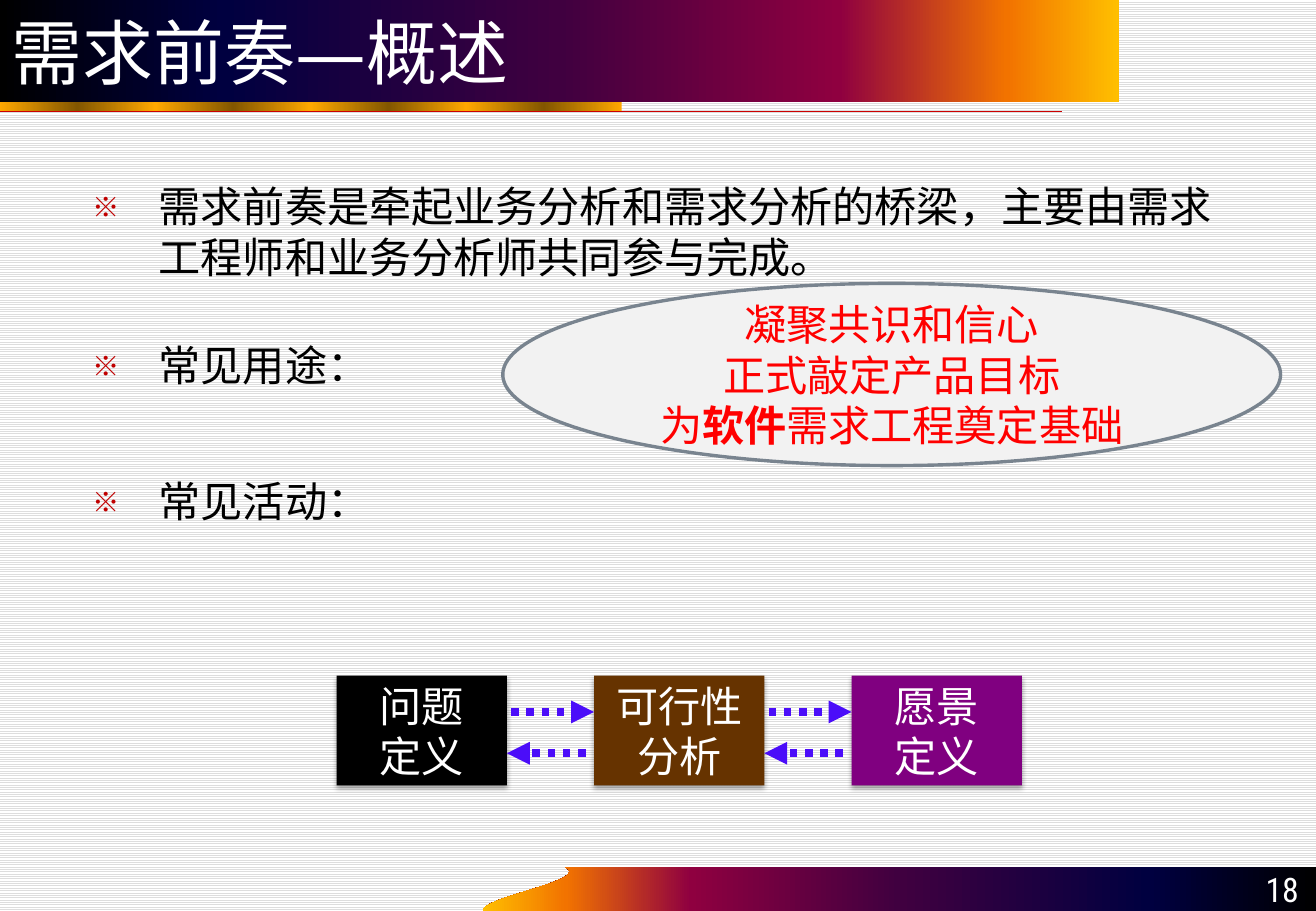
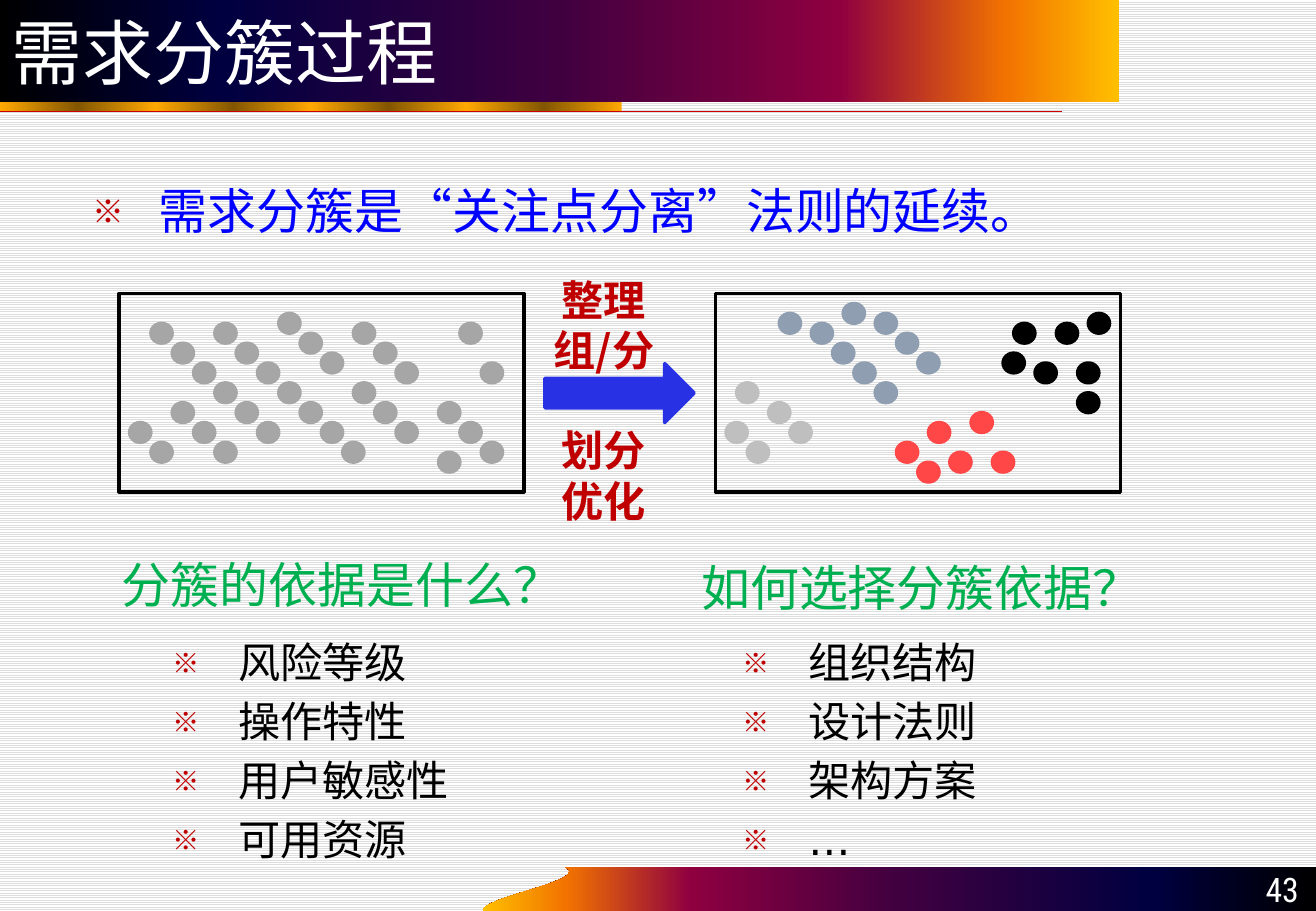
from dataclasses import dataclass
from itertools import pairwise
from typing import Any, NamedTuple

from lxml import etree
from pptx import Presentation
from pptx import util as u
from pptx.dml.color import RGBColor
from pptx.enum import dml, shapes, text
from pptx.oxml import ns

SANS, CJK, CONDENSED = "DejaVu Sans", "Noto Sans CJK SC", "Roboto Condensed"
WHITE, BLACK, CRIMSON, GREEN = "FFFFFF", "000000", "C00000", "00B050"
SUNSET = [(0, "000000"), (20, "000040"), (50, "400040"),
          (75, "8F0040"), (90, "F27300"), (100, "FFBF00")]
GOLD = [(12.5 * i, "825600" if i % 2 else "FFA800") for i in range(9)]
LEFT, CENTER, RIGHT = text.PP_ALIGN.LEFT, text.PP_ALIGN.CENTER, text.PP_ALIGN.RIGHT
TOP, MIDDLE, BOTTOM = (text.MSO_ANCHOR.TOP, text.MSO_ANCHOR.MIDDLE,
                       text.MSO_ANCHOR.BOTTOM)
RECT, OVAL = shapes.MSO_SHAPE.RECTANGLE, shapes.MSO_SHAPE.OVAL
INDENT, LINE_RATIO = 39, 1.2


class Area(NamedTuple):
    left: float
    top: float
    width: float
    height: float


class Span(NamedTuple):
    words: str
    bold: bool = False


class Line(NamedTuple):
    spans: list[Span]
    before: float = 0


class Run(NamedTuple):
    column: int
    row: int
    count: int = 1


class Cluster(NamedTuple):
    color: str
    runs: list[Run]


@dataclass(frozen=True)
class Style:
    size: float
    font: str
    color: str
    align: Any = LEFT
    anchor: Any = TOP
    bullet: bool = False


class Activity(NamedTuple):
    lines: list[str]
    color: str


class Question(NamedTuple):
    heading: str
    heading_area: Area
    answers: list[str]
    answers_area: Area


PLATE = Area(0, 0, 663, 60.5)
BODY = Area(48, 103.5, 683, 221)
ACTIVITIES = [Activity(["问题", "定义"], BLACK),
              Activity(["可行性", "分析"], "663300"),
              Activity(["愿景", "定义"], "800080")]
MIXED = [Cluster("A6A6A6", [
    Run(3, 3, 6), Run(9, 3, 7), Run(22, 9, 3), Run(22, 3, 3), Run(34, 7),
    Run(30, 11, 3), Run(30, 16), Run(1, 13, 2), Run(32, 3), Run(5, 11, 3),
    Run(15, 2, 3)])]
SORTED = [
    Cluster("BFBFBF", [Run(2, 9), Run(1, 13, 2), Run(5, 11, 2)]),
    Cluster("8F9FB1", [Run(6, 2), Run(12, 1), Run(9, 3, 4), Run(15, 2, 3)]),
    Cluster("FF4747", [Run(17, 15, 2), Run(22, 16), Run(20, 13),
                       Run(24, 12), Run(26, 16)]),
    Cluster(BLACK, [Run(28, 3), Run(27, 6), Run(30, 7), Run(35, 2),
                    Run(34, 7), Run(34, 10), Run(32, 3)]),
]
QUESTIONS = [
    Question("分簇的依据是什么？", Area(65, 325.5, 279, 42.5),
             ["风险等级", "操作特性", "用户敏感性", "可用资源"],
             Area(95, 373.5, 215, 146)),
    Question("如何选择分簇依据？", Area(408.5, 327, 279, 42.5),
             ["组织结构", "设计法则", "架构方案", "…"],
             Area(433, 373.5, 215, 146)),
]


def rgb(value: str) -> RGBColor:
    return RGBColor.from_string(value)


def apply(target: Any, values: dict[str, Any]) -> None:
    for name, value in values.items():
        setattr(target, name, value)


def child(parent: Any, tag: str, **attributes: Any) -> Any:
    return etree.SubElement(parent, ns.qn(tag),
                            {key: str(value) for key, value in attributes.items()})


def points(area: Area) -> list[u.Pt]:
    return [u.Pt(value) for value in area]


def lines(*words: str, before: float = 0) -> list[Line]:
    return [Line([Span(item)], before if index else 0)
            for index, item in enumerate(words)]


def write(shape: Any, content: list[Line], style: Style) -> None:
    frame = shape.text_frame
    apply(frame, {
        "word_wrap": True, "vertical_anchor": style.anchor,
        "margin_left": u.Pt(7.2), "margin_right": u.Pt(7.2),
        "margin_top": u.Pt(3.6), "margin_bottom": u.Pt(3.6),
    })
    for index, line in enumerate(content):
        para = frame.add_paragraph() if index else frame.paragraphs[0]
        apply(para, {"alignment": style.align, "space_before": u.Pt(line.before),
                     "line_spacing": u.Pt(style.size * LINE_RATIO)})
        if style.bullet:
            add_bullet(para)
        for part in line.spans:
            span = para.add_run()
            span.text = part.words
            apply(span.font, {"name": style.font, "size": u.Pt(style.size),
                              "bold": part.bold})
            span.font.color.rgb = rgb(style.color)
            child(span.font._element, "a:ea", typeface=style.font)


def add_bullet(para: Any) -> None:
    props = para._p.get_or_add_pPr()
    props.set("marL", str(u.Pt(INDENT)))
    props.set("indent", str(-u.Pt(INDENT)))
    child(child(props, "a:buClr"), "a:srgbClr", val=CRIMSON)
    child(props, "a:buSzPct", val=65000)
    child(props, "a:buFont", typeface=CJK)
    child(props, "a:buChar", char="※")


def add_text(page: Any, area: Area, content: list[Line], style: Style) -> None:
    write(page.shapes.add_textbox(*points(area)), content, style)


def paint(shape: Any, fill: str | None, line: str | None = None) -> None:
    shape.shadow.inherit = False
    if fill:
        shape.fill.solid()
        shape.fill.fore_color.rgb = rgb(fill)
    else:
        shape.fill.background()
    if line:
        shape.line.color.rgb = rgb(line)
        shape.line.width = u.Pt(2)
    else:
        shape.line.fill.background()


def add_shape(page: Any, kind: Any, area: Area, fill: str | None,
              line: str | None = None) -> Any:
    shape = page.shapes.add_shape(kind, *points(area))
    paint(shape, fill, line)
    return shape


def blend(shape: Any, stops: list[tuple[float, str]], angle: int = 0) -> None:
    shape.fill.gradient()
    shape.fill.gradient_angle = angle
    stop_list = shape._element.spPr.find(".//" + ns.qn("a:gsLst"))
    for stop in list(stop_list):
        stop_list.remove(stop)
    for position, color in stops:
        stop = child(stop_list, "a:gs", pos=int(position * 1000))
        child(stop, "a:srgbClr", val=color)


def cast_shadow(shape: Any) -> None:
    effects = shape._element.spPr.find(ns.qn("a:effectLst"))
    shadow = child(effects, "a:outerShdw", blurRad=u.Pt(3.1), dist=u.Pt(1.8),
                   dir=5400000, rotWithShape=0)
    child(child(shadow, "a:srgbClr", val=BLACK), "a:alpha", val=35000)


def add_line(page: Any, start: tuple[float, float], end: tuple[float, float],
             color: str, width: float) -> Any:
    line = page.shapes.add_connector(shapes.MSO_CONNECTOR.STRAIGHT,
                                     *(u.Pt(value) for value in start + end))
    line.line.color.rgb = rgb(color)
    line.line.width = u.Pt(width)
    child(line._element.spPr, "a:effectLst")
    return line


def add_arrow(page: Any, start: float, end: float, y: float) -> None:
    arrow = add_line(page, (start, y), (end, y), "4B0DF9", 4.5)
    arrow.line.dash_style = dml.MSO_LINE.ROUND_DOT
    child(arrow.line._get_or_add_ln(), "a:tailEnd", type="triangle")


def add_footer_wave(page: Any) -> None:
    curve = [(286, 540), (286, 531.5), (350.5, 522), (335, 514)]
    outline = [(780, 514), (780, 540)]
    for step in range(21):
        t = step / 20
        weights = ((1 - t) ** 3, 3 * t * (1 - t) ** 2, 3 * t * t * (1 - t), t ** 3)
        outline.append(tuple(sum(weight * point[axis]
                                 for weight, point in zip(weights, curve))
                             for axis in (0, 1)))
    corners = [(u.Pt(x), u.Pt(y)) for x, y in outline]
    builder = page.shapes.build_freeform(*corners[0], scale=1.0)
    builder.add_line_segments(corners[1:], close=True)
    wave = builder.convert_to_shape()
    paint(wave, BLACK)
    blend(wave, SUNSET, 180)


def add_page(deck: Any, title: str, number: str) -> Any:
    page = deck.slides.add_slide(deck.slide_layouts[6])
    backdrop = page.background.fill
    backdrop.patterned()
    backdrop.pattern = dml.MSO_PATTERN.LIGHT_HORIZONTAL
    backdrop.fore_color.rgb = rgb("DDDDDD")
    backdrop.back_color.rgb = rgb(WHITE)
    add_footer_wave(page)
    blend(add_shape(page, RECT, Area(0, 55, 368.5, 11), BLACK), GOLD)
    add_line(page, (0, 66), (629.5, 66), "CC0000", 0.75)
    plate = add_shape(page, RECT, PLATE, BLACK)
    blend(plate, SUNSET)
    write(plate, lines(title), Style(42, SANS, WHITE, anchor=MIDDLE))
    add_text(page, Area(708, 513.5, 69, 29), lines(number),
             Style(20, CONDENSED, WHITE, RIGHT, BOTTOM))
    return page


def add_overview(deck: Any) -> None:
    page = add_page(deck, "需求前奏—概述", "18")
    add_text(page, BODY, [
        Line([Span("需求前奏是牵起业务分析和需求分析的桥梁，"
                   "主要由需求工程师和业务分析师共同参与完成。")]),
        Line([Span("常见用途：")], 34),
        Line([Span("常见活动：")], 51),
    ], Style(25, CJK, BLACK, bullet=True))
    areas = [Area(199.5 + 152.6 * index, 400.5, 101, 65)
             for index in range(len(ACTIVITIES))]
    for activity, area in zip(ACTIVITIES, areas):
        box = add_shape(page, RECT, area, activity.color)
        cast_shadow(box)
        write(box, lines(*activity.lines), Style(25, CJK, WHITE, CENTER, MIDDLE))
    for near, far in pairwise(areas):
        edge = near.left + near.width
        add_arrow(page, edge + 2.5, far.left, 422)
        add_arrow(page, far.left - 5, edge, 446.5)
    purpose = add_shape(page, OVAL, Area(298, 168, 461, 108), "F2F2F2", "79848F")
    write(purpose, lines("凝聚共识和信心", "正式敲定产品目标") + [
        Line([Span("为"), Span("软件", True), Span("需求工程奠定基础")]),
    ], Style(25, SANS, "FF0000", CENTER, MIDDLE))


def add_dots(page: Any, frame: Area, clusters: list[Cluster]) -> None:
    add_shape(page, RECT, frame, None, BLACK)
    across, down = frame.width / 38, frame.height / 20
    for cluster in clusters:
        for run in cluster.runs:
            for step in range(0, 2 * run.count, 2):
                dot = Area(frame.left + (run.column + step) * across,
                           frame.top + (run.row + step) * down,
                           2 * across, 2 * down)
                add_shape(page, OVAL, dot, cluster.color, cluster.color)


def add_clustering(deck: Any) -> None:
    page = add_page(deck, "需求分簇过程", "43")
    add_text(page, BODY._replace(height=51), lines("需求分簇是“关注点分离”法则的延续。"),
             Style(29, CJK, "0000FF", bullet=True))
    add_dots(page, Area(70.5, 174, 240, 117.6), MIXED)
    add_dots(page, Area(424, 174, 240, 117.6), SORTED)
    add_shape(page, shapes.MSO_SHAPE.RIGHT_ARROW, Area(323, 215.5, 88.5, 35),
              "2831E4", "2831E4")
    add_text(page, Area(302, 159, 112, 157), [
        Line([Span("整理", True)]), Line([Span("组/分", True)]),
        Line([Span("划分", True)], 29), Line([Span("优化", True)]),
    ], Style(25, CJK, CRIMSON, CENTER))
    for question in QUESTIONS:
        add_text(page, question.heading_area, lines(question.heading),
                 Style(29, SANS, GREEN))
        add_text(page, question.answers_area, lines(*question.answers, before=5),
                 Style(25, SANS, BLACK, bullet=True))


def main() -> None:
    deck = Presentation()
    apply(deck, {"slide_width": u.Pt(780), "slide_height": u.Pt(540)})
    add_overview(deck)
    add_clustering(deck)
    deck.save("out.pptx")


if __name__ == "__main__":
    main()
